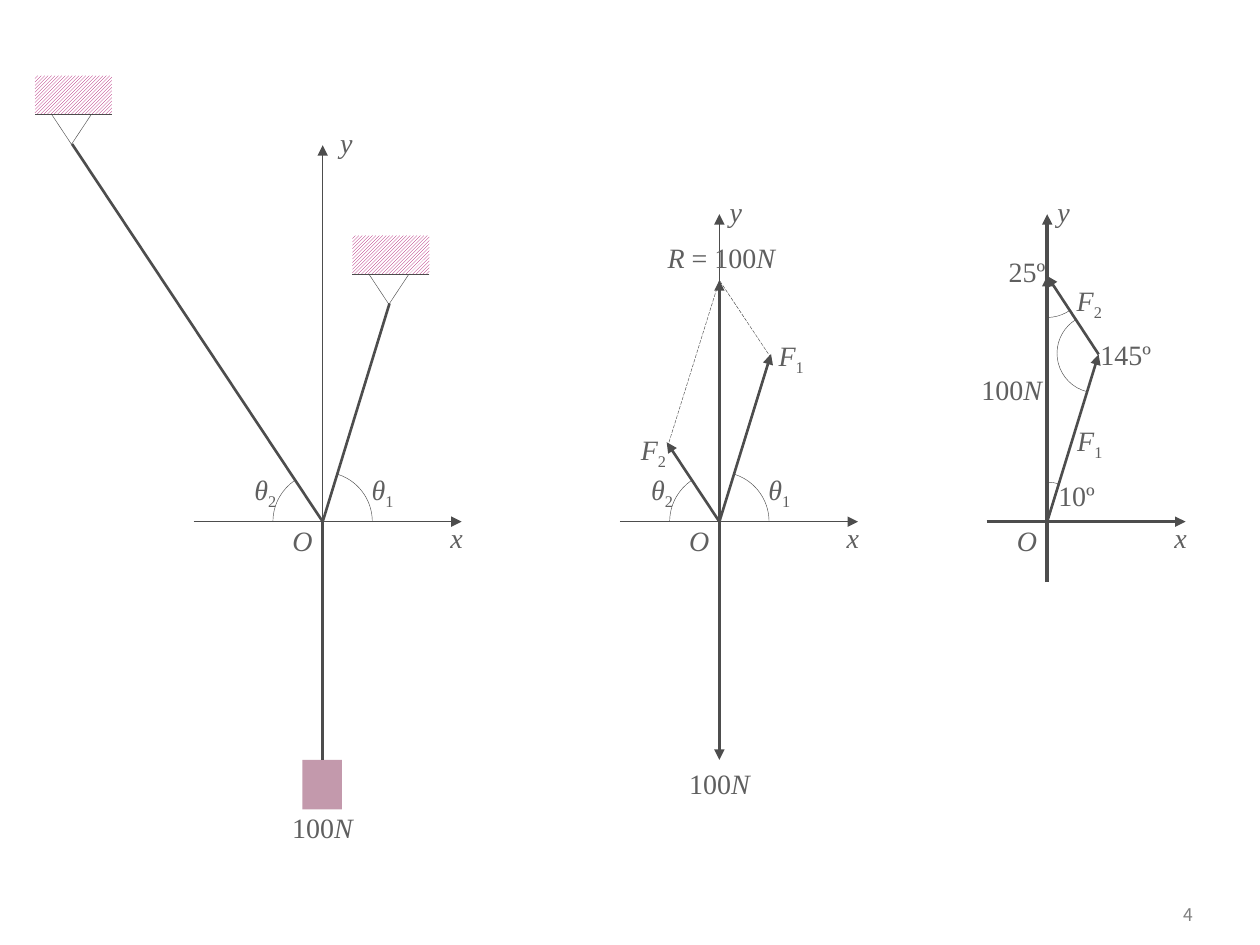
from itertools import groupby

from lxml import etree
from pptx import Presentation
from pptx.dml.color import RGBColor
from pptx.enum.dml import MSO_LINE as DASH, MSO_PATTERN as PATTERN
from pptx.enum.shapes import MSO_CONNECTOR as CONN, MSO_SHAPE as SHAPE
from pptx.enum.text import MSO_ANCHOR as ANCHOR, PP_ALIGN as ALIGN
from pptx.oxml.ns import qn
from pptx.util import Pt

INK, GREY, PINK, PLUM = "4D4D4D", "5F5F5F", "A90165", "6B0131"
THIN, THICK = 0.25, 1.5
SYMBOLS = "OxyFNRθ"
BASE = 298.1
LEFT, MIDDLE, RIGHT = 184.4, 411.1, 598.4


def rgb(hex_color):
    """Turn a hex string into a colour."""
    return RGBColor.from_string(hex_color)


def add_text(s, x, y, w, h, text, size=16, font="Times New Roman", color=GREY,
             align=ALIGN.CENTER, anchor=ANCHOR.TOP, inset=(0, 0), wrap=False):
    """Write text with italic symbols and an optional subscript after "_"."""
    tf = s.shapes.add_textbox(Pt(x), Pt(y), Pt(w), Pt(h)).text_frame
    tf.word_wrap = wrap
    tf.vertical_anchor = anchor
    tf.margin_left = tf.margin_right = Pt(inset[0])
    tf.margin_top = tf.margin_bottom = Pt(inset[1])
    p = tf.paragraphs[0]
    p.alignment = align
    main_text, _, subscript = text.partition("_")
    runs = [(italic, "".join(chars), False)
            for italic, chars in groupby(main_text, lambda c: c in SYMBOLS)]
    if subscript:
        runs.append((False, subscript, True))
    for italic, part, lowered in runs:
        r = p.add_run()
        r.text = part
        r.font.size, r.font.name, r.font.italic = Pt(size), font, italic
        r.font.color.rgb = rgb(color)
        if lowered:
            r.font._element.set("baseline", "-25000")


def add_line(s, x1, y1, x2, y2, width=THIN, arrow=False, dash=None):
    """Draw a straight line, with an arrowhead at its end if asked."""
    c = s.shapes.add_connector(CONN.STRAIGHT, Pt(x1), Pt(y1), Pt(x2), Pt(y2))
    c.line.color.rgb = rgb(INK)
    c.line.width = Pt(width)
    if dash:
        c.line.dash_style = dash
    if arrow:
        etree.SubElement(c.line._get_or_add_ln(), qn("a:tailEnd"), type="triangle")
    etree.SubElement(c._element.spPr, qn("a:effectLst"))


def add_shape(s, kind, x, y, w, h, outlined=True):
    """Add an unfilled preset shape, with or without a thin outline."""
    sp = s.shapes.add_shape(kind, Pt(x), Pt(y), Pt(w), Pt(h))
    sp.shadow.inherit = False
    sp.fill.background()
    if outlined:
        sp.line.color.rgb = rgb(INK)
        sp.line.width = Pt(THIN)
    else:
        sp.line.fill.background()
    return sp


def add_arc(s, cx, cy, radius, start, end):
    """Draw an arc clockwise between two angles in degrees."""
    sp = add_shape(s, SHAPE.ARC, cx - radius, cy - radius, 2 * radius, 2 * radius)
    sp.adjustments[0], sp.adjustments[1] = start * 0.6, end * 0.6


def add_axes(s, ox, x_from, x_to, y_top, y_gap, width=THIN):
    """Draw the x and y axes with their labels and the origin."""
    add_line(s, ox, 332.6, ox, y_top, width, arrow=True)
    add_line(s, x_from, BASE, x_to, BASE, width, arrow=True)
    add_text(s, ox - 24.5, 295.9, 26, 26.6, "O", inset=(7.2, 3.6))
    add_text(s, x_to - 6.5, 297.4, 7.2, 19.4, "x")
    add_text(s, ox + y_gap, y_top - 11, 7.2, 19.4, "y")


def add_thetas(s, ox):
    """Mark the two angles between the ropes and the x axis."""
    add_arc(s, ox, BASE, 28.4, 288, 0)
    add_text(s, ox + 27.4, 270, 13.7, 19.4, "θ_1")
    add_arc(s, ox, BASE, 28.4, 180, 235.5)
    add_text(s, ox - 39.6, 270, 13.7, 19.4, "θ_2")


def add_support(s, x, y):
    """Draw a hatched ceiling block with its hanging bracket."""
    block = add_shape(s, SHAPE.RECTANGLE, x, y, 44, 22.3, outlined=False)
    block.fill.patterned()
    block.fill.pattern = PATTERN.LIGHT_UPWARD_DIAGONAL
    block.fill.fore_color.rgb = rgb(PINK)
    block.fill.back_color.rgb = rgb("FFFFFF")
    add_line(s, x + 44, y + 22.3, x, y + 22.3)
    add_shape(s, SHAPE.ISOSCELES_TRIANGLE, x + 9.6, y + 22.3, 22.5, 17).rotation = 180


def add_weight(s, x, y, w, h):
    """Draw the translucent hanging weight."""
    sp = add_shape(s, SHAPE.RECTANGLE, x, y, w, h, outlined=False)
    sp.fill.solid()
    sp.fill.fore_color.rgb = rgb(PLUM)
    color = sp._element.spPr.find(qn("a:solidFill"))[0]
    etree.SubElement(color, qn("a:alpha"), val="40000")


def draw_setup(s):
    """Draw the weight hanging from two ropes."""
    add_axes(s, LEFT, 110.6, 263.8, 83, 10)
    for x, y in ((222.6, 173.4), (41.2, 82.3), (LEFT, 434.2)):
        add_line(s, LEFT, BASE, x, y, THICK)
    add_thetas(s, LEFT)
    add_support(s, 20, 43.2)
    add_support(s, 201.4, 134.6)
    add_weight(s, 172.8, 434.2, 22.6, 28.4)
    add_text(s, 161.6, 463, 45.4, 19.4, "100N")


def draw_parallelogram(s):
    """Draw the forces as a parallelogram."""
    add_axes(s, MIDDLE, 354.2, 490.3, 122.4, 5.8)
    add_thetas(s, MIDDLE)
    add_line(s, 382.3, 252.7, MIDDLE, 160.2, dash=DASH.LONG_DASH)
    add_line(s, 440.6, 204.5, MIDDLE, 160.2, dash=DASH.LONG_DASH)
    for x, y in ((MIDDLE, 160.2), (440.6, 202.3), (381, 252.7), (MIDDLE, 434.2)):
        add_line(s, MIDDLE, BASE, x, y, THICK, arrow=True)
    for x, y, w, text in ((442.8, 193.7, 18.7, "F_1"), (365.8, 247.2, 15.1, "F_2"),
                          (377.3, 137.5, 69.8, "R = 100N"), (388.4, 437.8, 45.4, "100N")):
        add_text(s, x, y, w, 19.4, text)


def draw_triangle(s):
    """Draw the forces as a closed triangle."""
    add_axes(s, RIGHT, 563.8, 677.5, 122.4, 5.8, width=0)
    add_arc(s, RIGHT, BASE, 22.6, 270, 287)
    add_arc(s, RIGHT, 158.8, 22.6, 55.7, 90)
    add_arc(s, 626.6, 201.9, 22.6, 103, 238.5)
    corners = (RIGHT, BASE), (627.8, 202.5), (RIGHT, 157.7)
    for start, end in ((0, 2), (0, 1), (1, 2)):
        add_line(s, *corners[start], *corners[end], THICK, arrow=True)
    for x, y, w, text in ((558.7, 213.1, 38.9, "100N"), (614.9, 162, 15.1, "F_2"),
                          (604, 273.6, 22.3, "10º"), (613.4, 241.9, 18.7, "F_1"),
                          (626.4, 193, 33.8, "145º"), (575.3, 145.4, 23, "25º")):
        add_text(s, x, y, w, 19.4, text)


def main():
    """Build and save the slide."""
    prs = Presentation()
    prs.slide_width, prs.slide_height = Pt(720), Pt(540)
    s = prs.slides.add_slide(prs.slide_layouts[6])
    draw_setup(s)
    draw_parallelogram(s)
    draw_triangle(s)
    add_text(s, 637.9, 510.5, 51.1, 23.8, "4", size=10, font="Noto Sans CJK KR",
             color="808080", align=ALIGN.RIGHT, anchor=ANCHOR.MIDDLE,
             inset=(7.2, 3.6), wrap=True)
    prs.save("out.pptx")


main()
